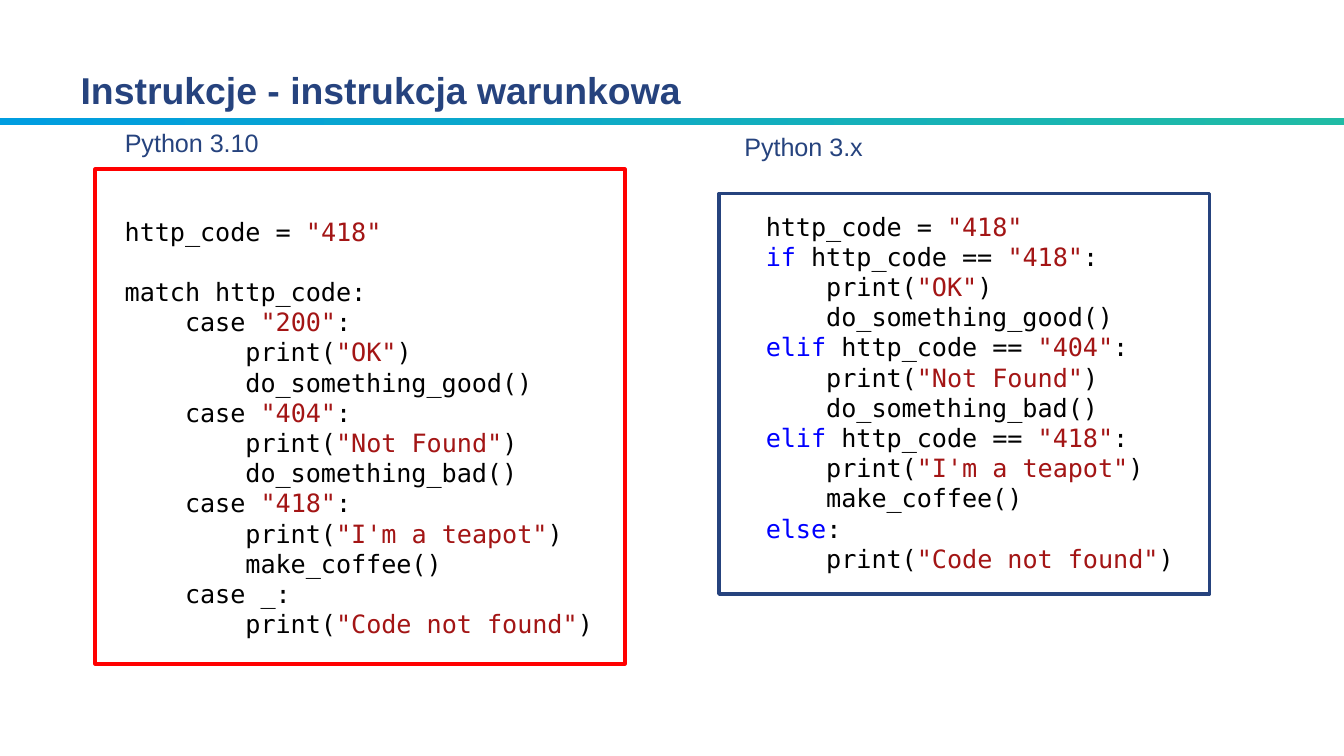
import pptx
import pptx.dml.color
import pptx.enum.shapes
import pptx.enum.text
import pptx.util

Inches = pptx.util.Inches
NAVY = "26437E"
RED = "FF0000"
BLACK = "000000"
STRING_RED = "A31515"
KEYWORD_BLUE = "0000FF"
KEYWORDS = ("if", "elif", "else")
CODE_SIZE = 13.5
BLANK_LINE = 16

MATCH_CODE = """http_code = "418"

match http_code:
    case "200":
        print("OK")
        do_something_good()
    case "404":
        print("Not Found")
        do_something_bad()
    case "418":
        print("I'm a teapot")
        make_coffee()
    case _:
        print("Code not found")"""

IF_CODE = """http_code = "418"
if http_code == "418":
    print("OK")
    do_something_good()
elif http_code == "404":
    print("Not Found")
    do_something_bad()
elif http_code == "418":
    print("I'm a teapot")
    make_coffee()
else:
    print("Code not found")"""


def color(value):
    return pptx.dml.color.RGBColor.from_string(value)


def add_span(para, text, value, size=CODE_SIZE, font="Arial", bold=False):
    span = para.add_run()
    span.text = text
    span.font.name = font
    span.font.size = pptx.util.Pt(size)
    span.font.bold = bold
    span.font.color.rgb = color(value)


def add_rectangle(page, left, top, width, height):
    box = page.shapes.add_shape(
        pptx.enum.shapes.MSO_SHAPE.RECTANGLE,
        Inches(left), Inches(top), Inches(width), Inches(height))
    box.shadow.inherit = False
    return box


def add_rule(page):
    rule = add_rectangle(page, 0, 0.88, 10, 0.05)
    rule.line.fill.background()
    rule.fill.gradient()
    rule.fill.gradient_angle = 0
    for stop, value in zip(rule.fill.gradient_stops, ("009DE0", "20BBA5")):
        stop.color.rgb = color(value)


def add_frame(page, left, top, width, height, value):
    frame = add_rectangle(page, left, top, width, height)
    frame.fill.background()
    frame.line.color.rgb = color(value)
    frame.line.width = pptx.util.Pt(2)


def set_title(page, text):
    title = page.shapes.title
    title.left, title.top = Inches(0.5), Inches(0.13)
    title.width, title.height = Inches(9), Inches(0.75)
    title.text_frame.vertical_anchor = pptx.enum.text.MSO_ANCHOR.BOTTOM
    para = title.text_frame.paragraphs[0]
    para.alignment = pptx.enum.text.PP_ALIGN.LEFT
    add_span(para, text, NAVY, size=20, bold=True)


def add_text_box(page, left, top, width, height, wrap):
    box = page.shapes.add_textbox(
        Inches(left), Inches(top), Inches(width), Inches(height))
    box.text_frame.word_wrap = wrap
    box.text_frame.auto_size = pptx.enum.text.MSO_AUTO_SIZE.SHAPE_TO_FIT_TEXT
    return box.text_frame


def add_label(page, left, top, width, text):
    frame = add_text_box(page, left, top, width, 0.33, False)
    add_span(frame.paragraphs[0], text, NAVY)


def split_code(line):
    for keyword in KEYWORDS:
        if line.startswith(keyword):
            yield keyword, KEYWORD_BLUE
            line = line[len(keyword):]
            break
    for index, part in enumerate(line.split('"')):
        if index % 2:
            yield f'"{part}"', STRING_RED
        elif part:
            yield part, BLACK


def add_code(page, left, top, width, height, code):
    frame = add_text_box(page, left, top, width, height, True)
    para = frame.paragraphs[0]
    for block_index, block in enumerate(code.split("\n\n")):
        for line_index, line in enumerate(block.split("\n")):
            if block_index or line_index:
                para = frame.add_paragraph()
            if block_index and not line_index:
                para.space_before = pptx.util.Pt(BLANK_LINE)
            for text, value in split_code(line):
                add_span(para, text, value, font="DejaVu Sans Mono")


def main():
    deck = pptx.Presentation()
    deck.slide_width = Inches(10)
    deck.slide_height = deck.slide_width * 9 // 16
    page = deck.slides.add_slide(deck.slide_layouts[5])
    add_rule(page)
    set_title(page, "Instrukcje - instrukcja warunkowa")
    add_code(page, 0.83, 1.56, 4.26, 3.28, MATCH_CODE)
    add_code(page, 5.6, 1.52, 3.41, 2.83, IF_CODE)
    add_frame(page, 5.35, 1.44, 3.65, 2.98, NAVY)
    add_frame(page, 0.71, 1.26, 3.94, 3.68, RED)
    add_label(page, 0.83, 0.9, 1.21, "Python 3.10")
    add_label(page, 5.44, 0.93, 1.1, "Python 3.x")
    deck.save("out.pptx")


if __name__ == "__main__":
    main()
